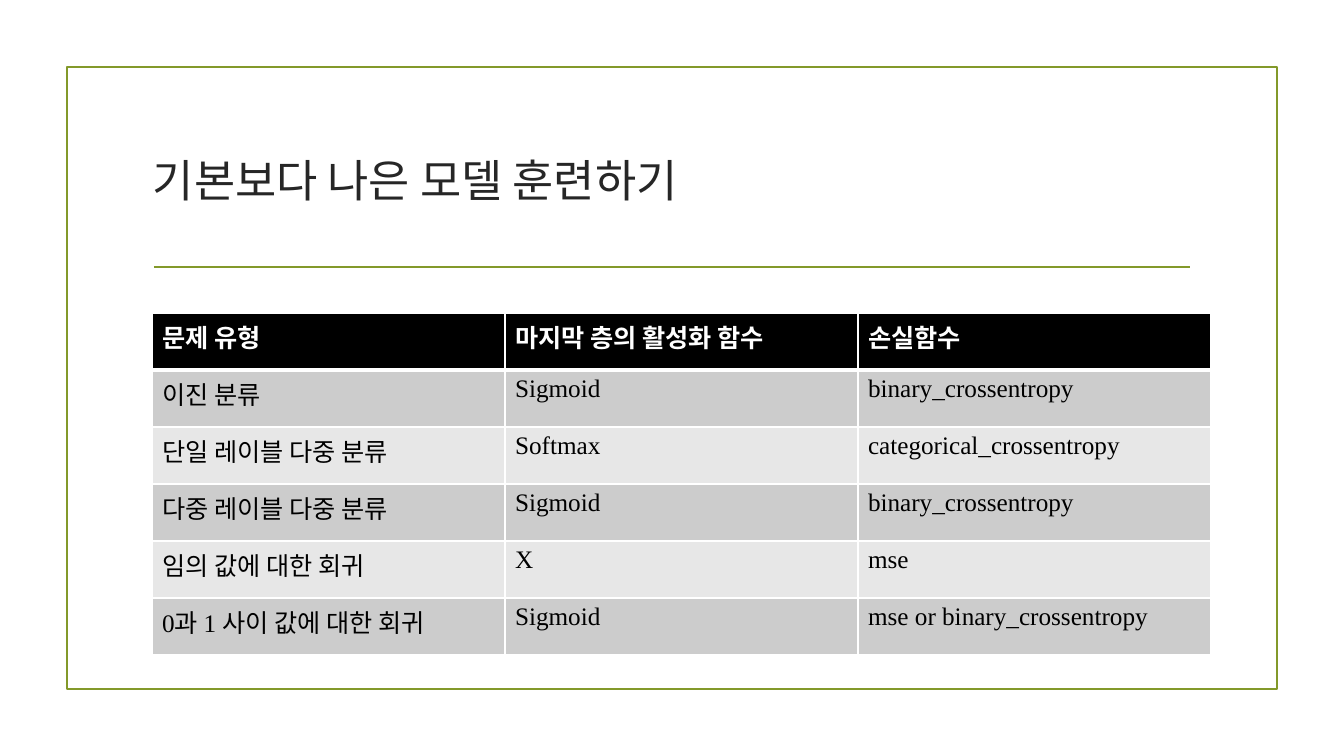
import pptx
import pptx.dml.color
import pptx.enum.shapes
import pptx.enum.text
import pptx.oxml
import pptx.oxml.ns
import pptx.util

EMU_PER_PX = 914400 / 100.8
GREEN, WHITE, BLACK, INK = "83992A", "FFFFFF", "000000", "262626"
BANDS = ["CCCCCC", "E7E7E7"]
ROWS = [
    ["문제 유형", "마지막 층의 활성화 함수", "손실함수"],
    ["이진 분류", "Sigmoid", "binary_crossentropy"],
    ["단일 레이블 다중 분류", "Softmax", "categorical_crossentropy"],
    ["다중 레이블 다중 분류", "Sigmoid", "binary_crossentropy"],
    ["임의 값에 대한 회귀", "X", "mse"],
    ["0과 1 사이 값에 대한 회귀", "Sigmoid", "mse or binary_crossentropy"],
]


def px(*lengths):
    return [pptx.util.Emu(round(length * EMU_PER_PX)) for length in lengths]


def color(value):
    return pptx.dml.color.RGBColor.from_string(value)


class SlideBuilder:
    """Holds the style and the current slide and adds elements to it."""

    font_name = "Times New Roman"
    line_format = {"width": pptx.util.Pt(1.25)}

    def __init__(self, deck):
        self.slide = deck.slides.add_slide(deck.slide_layouts[6])
        self.shapes = self.slide.shapes

    def style_line(self, line):
        line.color.rgb = color(GREEN)
        for key, value in self.line_format.items():
            setattr(line, key, value)

    def style_text(self, frame, text, size, ink, bold=False):
        frame.text = text
        font = frame.paragraphs[0].runs[0].font
        settings = {"name": self.font_name, "size": pptx.util.Pt(size), "bold": bold}
        for key, value in settings.items():
            setattr(font, key, value)
        font.color.rgb = color(ink)

    def frame(self, *box):
        border = self.shapes.add_shape(pptx.enum.shapes.MSO_SHAPE.RECTANGLE, *px(*box))
        border.shadow.inherit = False
        border.fill.background()
        self.style_line(border.line)

    def rule(self, *ends):
        divider = self.shapes.add_connector(
            pptx.enum.shapes.MSO_CONNECTOR.STRAIGHT, *px(*ends))
        self.style_line(divider.line)
        properties = divider._element.spPr
        properties.append(properties.makeelement(pptx.oxml.ns.qn("a:effectLst"), {}))

    def title(self, text, *box):
        heading = self.shapes.add_textbox(*px(*box)).text_frame
        settings = {"word_wrap": True,
                    "vertical_anchor": pptx.enum.text.MSO_ANCHOR.MIDDLE}
        for key, value in settings.items():
            setattr(heading, key, value)
        self.style_text(heading, text, 32, INK)

    def cell_borders(self, cell, widths):
        properties = cell._tc.get_or_add_tcPr()
        for side, width in widths.items():
            properties.append(pptx.oxml.parse_xml(
                f'<a:ln{side} {pptx.oxml.ns.nsdecls("a")} w="{pptx.util.Pt(width)}">'
                f'<a:solidFill><a:srgbClr val="{WHITE}"/></a:solidFill></a:ln{side}>'))

    def table(self, rows, left, top, column_width, row_height):
        count, columns = len(rows), len(rows[0])
        box = px(left, top, column_width * columns, row_height * count)
        grid = self.shapes.add_table(count, columns, *box).table
        for r, row in enumerate(rows):
            header = r == 0
            widths = {"L": 1, "R": 1, "T": 3 if r == 1 else 1, "B": 3 if header else 1}
            for c, text in enumerate(row):
                cell = grid.cell(r, c)
                self.cell_borders(cell, widths)
                cell.fill.solid()
                cell.fill.fore_color.rgb = color(BLACK if header else BANDS[(r - 1) % 2])
                self.style_text(cell.text_frame, text, 18,
                                WHITE if header else BLACK, header)


def main():
    deck = pptx.Presentation()
    deck.slide_width, deck.slide_height = px(1344, 756)
    page = SlideBuilder(deck)
    page.frame(67, 67, 1210, 622)
    page.rule(154, 267, 1190, 267)
    page.title("기본보다 나은 모델 훈련하기", 143, 108, 1058, 144)
    page.table(ROWS, 152, 313, 353, 57)
    deck.save("out.pptx")


if __name__ == "__main__":
    main()
